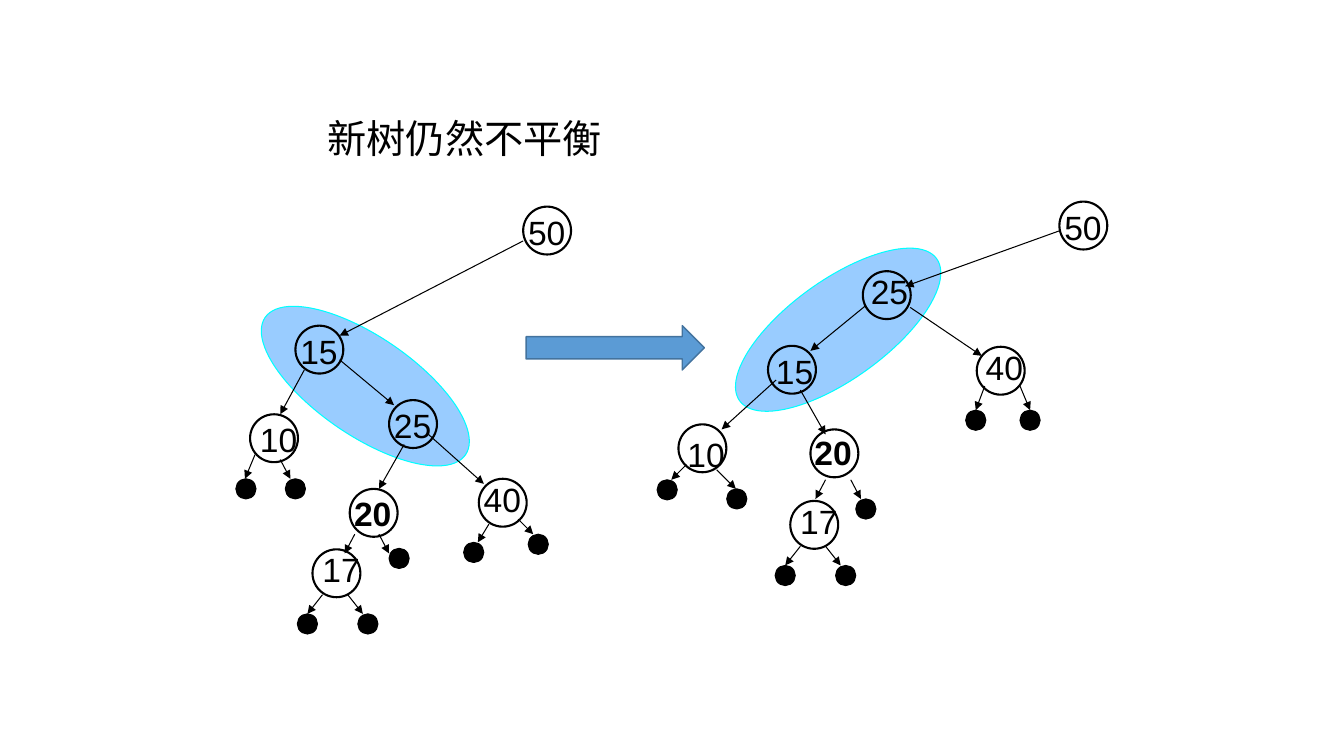
from dataclasses import dataclass

from lxml import etree
from pptx import Presentation
from pptx.dml.color import RGBColor
from pptx.enum.shapes import MSO_CONNECTOR, MSO_SHAPE
from pptx.enum.text import MSO_ANCHOR, MSO_AUTO_SIZE, PP_ALIGN
from pptx.oxml.ns import qn
from pptx.util import Pt

OVAL, RIGHT_ARROW = MSO_SHAPE.OVAL, MSO_SHAPE.RIGHT_ARROW
STRAIGHT = MSO_CONNECTOR.STRAIGHT
LEFT, MIDDLE, NO_AUTOFIT = PP_ALIGN.LEFT, MSO_ANCHOR.MIDDLE, MSO_AUTO_SIZE.NONE
TITLE_ONLY = 5


@dataclass(frozen=True)
class Theme:
    ink: RGBColor = RGBColor(0, 0, 0)
    highlight: RGBColor = RGBColor(0x99, 0xCC, 0xFF)
    highlight_edge: RGBColor = RGBColor(0, 0xFF, 0xFF)
    arrow: RGBColor = RGBColor(0x5B, 0x9B, 0xD5)
    arrow_edge: RGBColor = RGBColor(0x43, 0x73, 0x9E)
    title_font: str = "Calibri"
    key_font: str = "Arial"
    title_size: int = 28
    key_size: int = 24
    thin: float = 0.75
    medium: float = 1
    thick: float = 1.5


THEME = Theme()
NODE_SIZE, LEAF_SIZE = 34.2, 14.4
KEY_BOX = (49.7, 36)
HIGHLIGHT_SIZE = (173.5, 70.6)

# Positions are in points, relative to the box of each tree.
# Nodes: key, left, top, shift of the key across and down, bold
# Edges: start x, start y, end x, end y
BEFORE = {
    "highlight": (6.2, 96.5, 34.4),
    "nodes": [
        ("50", 205.7, 3.6, -3.6, 0, False),
        ("15", 43, 88.6, -3.6, 0, False),
        ("10", 10.6, 151.9, 0, 0, False),
        ("25", 109.9, 141.8, -3.6, 0, False),
        ("40", 174, 198, -3.6, -3.6, False),
        ("20", 81.8, 205.2, -4, -0.7, True),
    ],
    "leaves": [(0.5, 198), (35.8, 198), (209.3, 237.6), (163.2, 243.4), (109.9, 247.7)],
    "edges": [
        (205.7, 28.1, 74.6, 95.8), (49.4, 120.2, 32.2, 151.9),
        (74.6, 113, 113.5, 145.4), (120.7, 173.5, 102.7, 205.2),
        (138, 166.3, 177.6, 201.6), (181.2, 230.4, 173.3, 243.4),
        (202.1, 226.8, 212.9, 237.6), (14.2, 180.7, 7, 198),
        (32.2, 184.3, 39.4, 198), (85.4, 237.6, 78.2, 251.3),
        (102.7, 237.6, 109.9, 251.3),
    ],
    "subtree": (55.2, 248.4),
}
AFTER = {
    "highlight": (43.9, 56.2, 144.2),
    "nodes": [
        ("50", 288.7, 0, -3.6, 0, False),
        ("25", 148.3, 49.7, -1.4, -3.6, False),
        ("15", 80.6, 103, -1.4, 0, False),
        ("10", 16.6, 159.1, -0.7, 3.6, False),
        ("40", 229.7, 103.7, -0.7, -3.6, False),
        ("20", 110.9, 162.7, -4.3, -1.4, True),
    ],
    "leaves": [(1.4, 198.7), (51.1, 205.2), (143.3, 212.4), (221.8, 149), (260.6, 149)],
    "edges": [
        (288.7, 20.9, 178.6, 60.5), (150.5, 74.2, 110.9, 106.6),
        (182.2, 75.6, 233.3, 110.2), (103.7, 134.6, 121.7, 166.3),
        (86.4, 127.4, 47.5, 162.7), (260.6, 131.8, 267.8, 149),
        (235.4, 131.8, 229, 149), (139.7, 198.7, 146.9, 212.4),
        (121.7, 198.7, 114.5, 212.4), (22.3, 187.9, 11.5, 198.7),
        (43.9, 191.5, 57.6, 205.2),
    ],
    "subtree": (96.5, 213.8),
}
# Subtree with key 17, the same in both trees
SUBTREE = {
    "nodes": [("17", 0, 0, 0, -3.6, False)],
    "leaves": [(-10.8, 46.1), (32.4, 46.1)],
    "edges": [(7.2, 32.4, -3.6, 46.1), (25.2, 32.4, 36, 46.1)],
}


def format_text(frame, text, **font_format):
    paragraph = frame.paragraphs[0]
    paragraph.alignment = LEFT
    run = paragraph.add_run()
    run.text = text
    run.font.color.rgb = THEME.ink
    for name, value in font_format.items():
        setattr(run.font, name, value)


def add_figure(shapes, kind, box, fill, line, width):
    shape = shapes.add_shape(kind, *map(Pt, box))
    shape.shadow.inherit = False
    if fill is None:
        shape.fill.background()
    else:
        shape.fill.solid()
        shape.fill.fore_color.rgb = fill
    shape.line.color.rgb = line
    shape.line.width = Pt(width)
    return shape


def add_edge(shapes, start_x, start_y, end_x, end_y):
    edge = shapes.add_connector(STRAIGHT, *map(Pt, (start_x, start_y, end_x, end_y)))
    edge.line.color.rgb = THEME.ink
    edge.line.width = Pt(THEME.thin)
    properties = edge._element.spPr
    etree.SubElement(properties.find(qn("a:ln")), qn("a:tailEnd"), type="triangle")
    etree.SubElement(properties, qn("a:effectLst"))


def add_node(shapes, key, left, top, shift_x, shift_y, bold):
    box = (left, top, NODE_SIZE, NODE_SIZE)
    add_figure(shapes, OVAL, box, None, THEME.ink, THEME.thick)
    label = shapes.add_textbox(*map(Pt, (left + shift_x, top + shift_y, *KEY_BOX)))
    label.text_frame.word_wrap = True
    format_text(label.text_frame, key, name=THEME.key_font, size=Pt(THEME.key_size), bold=bold)


def add_tree(shapes, tree, left, top):
    # Rotated pair
    if "highlight" in tree:
        x, y, rotation = tree["highlight"]
        box = (left + x, top + y, *HIGHLIGHT_SIZE)
        oval = add_figure(shapes, OVAL, box, THEME.highlight, THEME.highlight_edge, THEME.thin)
        oval.rotation = rotation
    # Keys, leaves and edges
    for key, x, y, *label in tree["nodes"]:
        add_node(shapes, key, left + x, top + y, *label)
    for x, y in tree["leaves"]:
        box = (left + x, top + y, LEAF_SIZE, LEAF_SIZE)
        add_figure(shapes, OVAL, box, THEME.ink, THEME.ink, THEME.thin)
    for start_x, start_y, end_x, end_y in tree["edges"]:
        add_edge(shapes, left + start_x, top + start_y, left + end_x, top + end_y)
    # Grouped subtree
    if "subtree" in tree:
        x, y = tree["subtree"]
        add_tree(shapes.add_group_shape().shapes, SUBTREE, left + x, top + y)


def add_title(slide, text, left, top, width, height):
    title = slide.shapes.title
    box = {"left": left, "top": top, "width": width, "height": height}
    for name, value in box.items():
        setattr(title, name, Pt(value))
    frame = title.text_frame
    settings = {"word_wrap": False, "auto_size": NO_AUTOFIT, "vertical_anchor": MIDDLE}
    for name, value in settings.items():
        setattr(frame, name, value)
    format_text(frame, text, name=THEME.title_font, size=Pt(THEME.title_size))


def main():
    presentation = Presentation()
    presentation.slide_width, presentation.slide_height = Pt(960), Pt(540)
    slide = presentation.slides.add_slide(presentation.slide_layouts[TITLE_ONLY])

    add_title(slide, "新树仍然不平衡", 226.8, 77.8, 212.4, 41)
    add_tree(slide.shapes, BEFORE, 168, 144)
    add_tree(slide.shapes, AFTER, 468, 144)

    # Arrow from the old tree to the new one
    arrow_box = (375.8, 232.6, 127.4, 31.7)
    add_figure(slide.shapes, RIGHT_ARROW, arrow_box, THEME.arrow, THEME.arrow_edge, THEME.medium)

    presentation.save("out.pptx")


if __name__ == "__main__":
    main()
